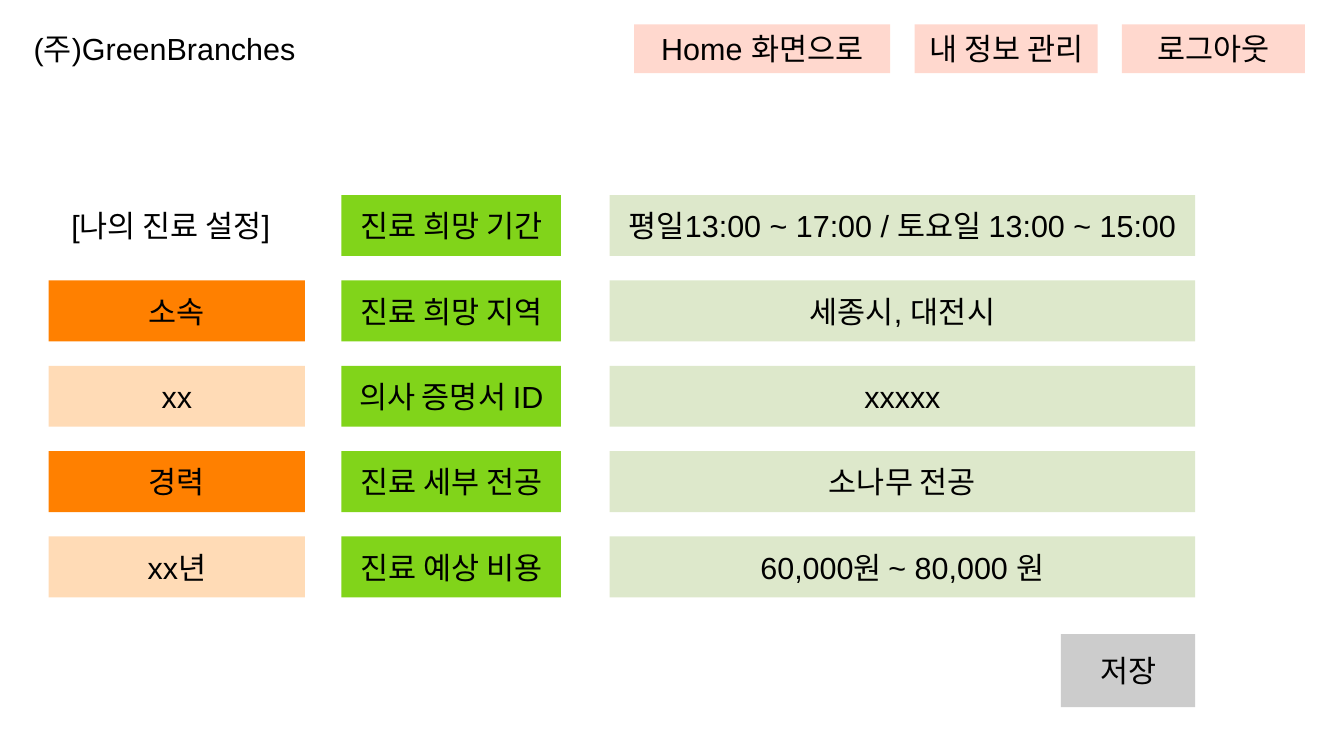
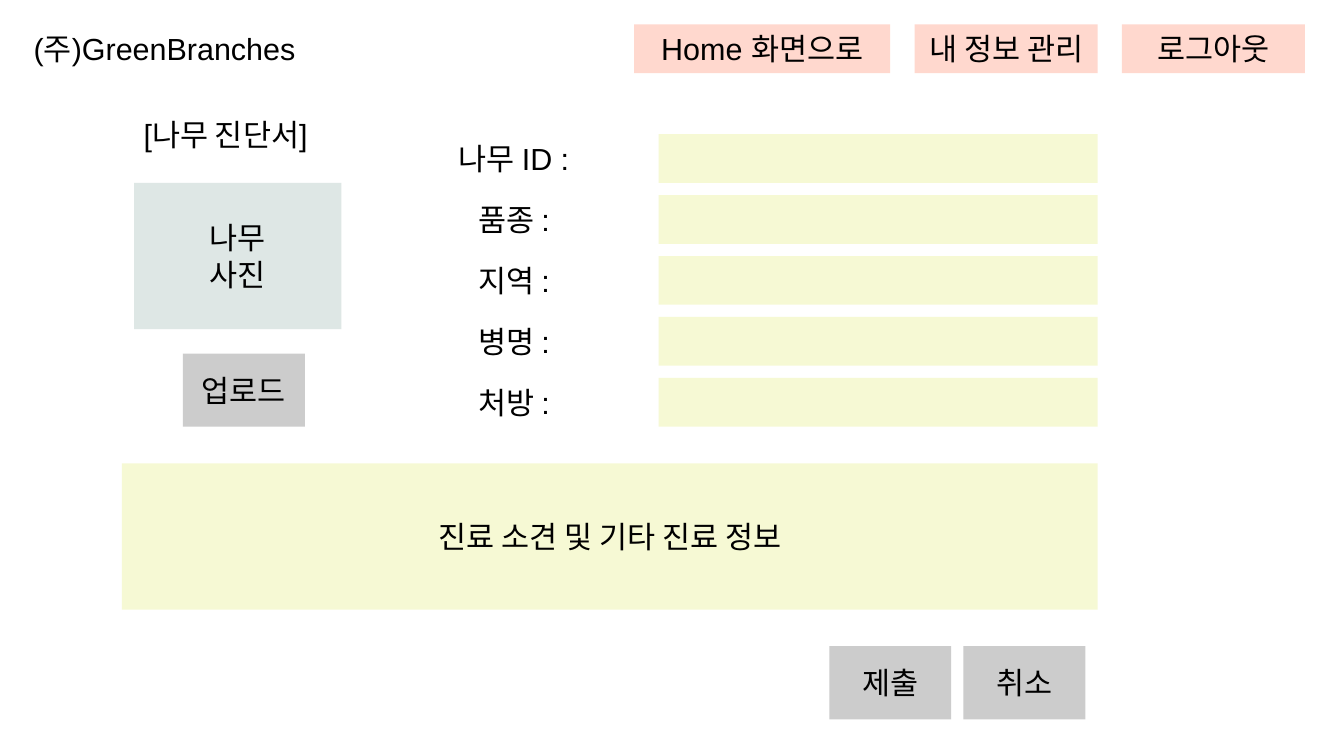
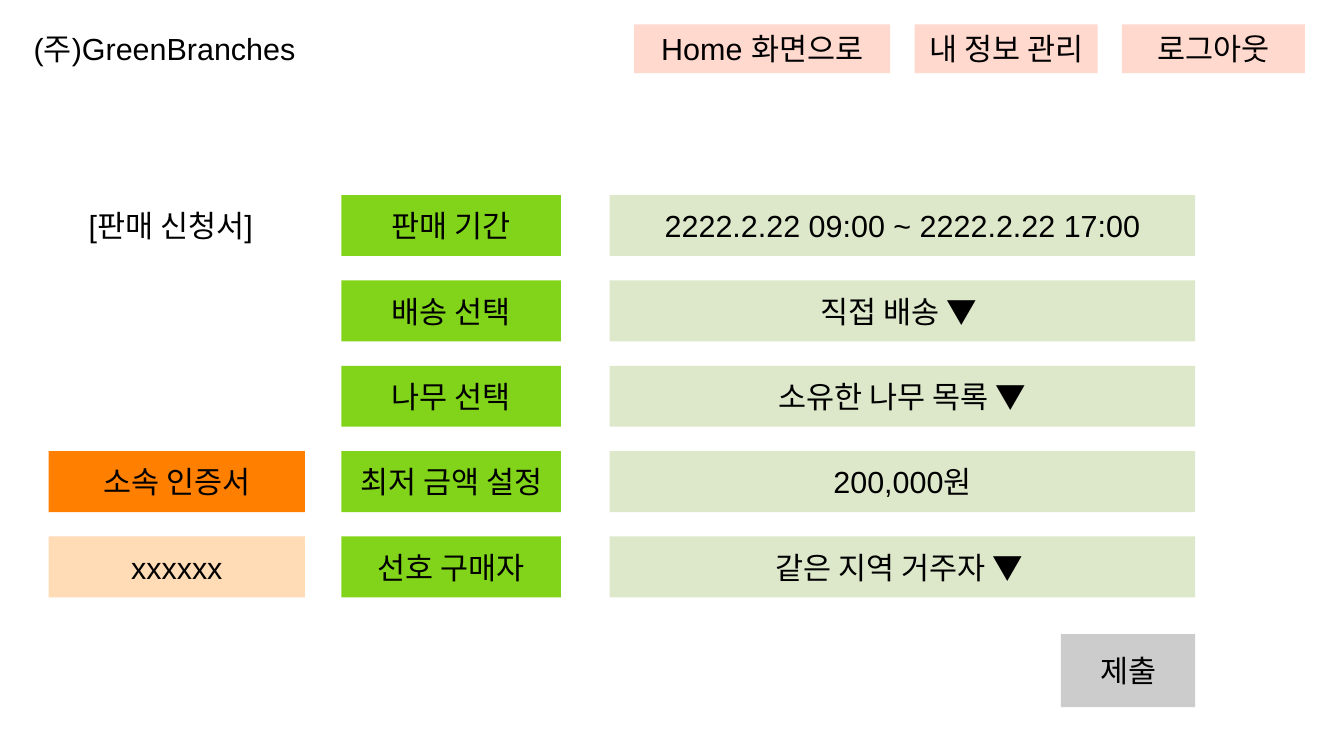
from pptx import Presentation
from pptx.dml.color import RGBColor
from pptx.enum.shapes import MSO_SHAPE
from pptx.enum.text import MSO_ANCHOR, PP_ALIGN
from pptx.util import Pt

RECTANGLE = MSO_SHAPE.RECTANGLE
MIDDLE = MSO_ANCHOR.MIDDLE
CENTER = PP_ALIGN.CENTER

COLORS = {
    "text": "000000", "plain": "FFFFFF", "menu": "FFD8CE", "button": "CCCCCC",
    "label": "81D41A", "value": "DDE8CB", "side_label": "FF8000",
    "side_value": "FFDBB6", "photo": "DEE7E5", "field": "F6F9D4",
}
BODY_FONT, MARK_FONT = "Arial", "Roboto"
DROPDOWN_MARK = "▼"
FRAME_FORMAT = {
    "margin_left": Pt(7.2), "margin_right": Pt(7.2), "margin_top": Pt(3.6),
    "margin_bottom": Pt(3.6), "vertical_anchor": MIDDLE, "word_wrap": False,
}
BUTTON_HEIGHT = 43.2
ROW_HEIGHT, ROW_PITCH = 36, 50.4
HEADER_BOX = (21.6, 7.2, 748.8, 43.2)
SETTINGS_BOX = (28.8, 115.2, 676.8, 302.4)


def color(name):
    """Return the RGB colour of a named role."""
    return RGBColor.from_string(COLORS[name])


def apply_format(target, values):
    """Set each attribute in values on the target."""
    for name, value in values.items():
        setattr(target, name, value)


def add_run(paragraph, text, font_name):
    """Add a run of body-size text."""
    run = paragraph.add_run()
    run.text = text
    apply_format(run.font, {"name": font_name, "size": Pt(18)})
    run.font.color.rgb = color("text")


def add_block(slide, box, role, text=""):
    """Draw a flat rectangle with centred text, one paragraph a line."""
    shape = slide.shapes.add_shape(RECTANGLE, *(Pt(length) for length in box))
    shape.shadow.inherit = False
    shape.fill.solid()
    shape.fill.fore_color.rgb = color(role)
    shape.line.fill.background()
    frame = shape.text_frame
    apply_format(frame, FRAME_FORMAT)
    for index, line in enumerate(text.split("\n")):
        paragraph = frame.add_paragraph() if index else frame.paragraphs[0]
        paragraph.alignment = CENTER
        words, mark, rest = line.partition(DROPDOWN_MARK)
        if words:
            add_run(paragraph, words, BODY_FONT)
        if mark:
            add_run(paragraph, mark + rest, MARK_FONT)


def add_header(slide, box):
    """Place the company name at the left and the menu at the right."""
    left, top, width, height = box
    add_block(slide, (left, top, 151.2, height), "plain", "(주)GreenBranches")
    right = left + width
    for text, item_width in (("로그아웃", 108), ("내 정보 관리", 108), ("Home 화면으로", 151.2)):
        add_block(slide, (right - item_width, top + 7.2, item_width, 28.8), "menu", text)
        right -= item_width + 14.4


def add_settings(slide, box, heading, side_items, rows, button):
    """Place a heading, side items by row, label and value rows and a button."""
    left, top, width, height = box
    add_block(slide, (left + 7.2, top, 129.6, ROW_HEIGHT), "plain", heading)
    for row, (role, text) in side_items.items():
        add_block(slide, (left, top + row * ROW_PITCH, 151.2, ROW_HEIGHT), role, text)
    for row, (label, value) in enumerate(rows):
        row_top = top + row * ROW_PITCH
        add_block(slide, (left + 172.8, row_top, 129.6, ROW_HEIGHT), "label", label)
        add_block(slide, (left + 331.2, row_top, 345.6, ROW_HEIGHT), "value", value)
    button_box = (left + width - 79.2, top + height - BUTTON_HEIGHT, 79.2, BUTTON_HEIGHT)
    add_block(slide, button_box, "button", button)


def add_photo_panel(slide, box):
    """Place the certificate heading, the photo area and the upload button."""
    left, top, width, height = box
    add_block(slide, (left, top, width, 28.8), "plain", "[나무 진단서]")
    add_block(slide, (left + 43.2, top + 43.2, 122.4, 86.4), "photo", "나무\n사진")
    upload_box = (left + 72, top + height - BUTTON_HEIGHT, 72, BUTTON_HEIGHT)
    add_block(slide, upload_box, "button", "업로드")


def add_fields(slide, box, labels):
    """Place evenly spaced labels with an empty field beside each."""
    left, top, width, height = box
    label_height = 43.2
    pitch = (height - label_height) / (len(labels) - 1)
    for row, label in enumerate(labels):
        row_top = top + row * pitch
        add_block(slide, (left, row_top, 151.2, label_height), "plain", f"{label} : ")
        add_block(slide, (left + width - 259.2, row_top + 7.2, 259.2, 28.8), "field")


def add_buttons(slide, box, texts):
    """Share the box out among equal buttons."""
    left, top, width, height = box
    gap = 7.2
    button_width = (width - gap * (len(texts) - 1)) / len(texts)
    for index, text in enumerate(texts):
        button_left = left + index * (button_width + gap)
        add_block(slide, (button_left, top, button_width, height), "button", text)


def add_page(presentation):
    """Add a blank slide with the shared header."""
    slide = presentation.slides.add_slide(presentation.slide_layouts[6])
    add_header(slide, HEADER_BOX)
    return slide


def add_diagnosis(slide):
    """Place the regions of the tree diagnosis form."""
    add_photo_panel(slide, (36, 64.8, 194.4, 187.2))
    add_fields(slide, (230.4, 72, 417.6, 187.2), ("나무 ID", "품종", "지역", "병명", "처방"))
    add_block(slide, (72, 273.6, 576, 86.4), "field", "진료 소견 및 기타 진료 정보")
    add_buttons(slide, (489.6, 381.6, 151.2, BUTTON_HEIGHT), ("제출", "취소"))


def main():
    """Build and save the presentation."""
    presentation = Presentation()
    apply_format(presentation, {"slide_width": Pt(793.44), "slide_height": Pt(446.4)})
    add_settings(
        add_page(presentation), SETTINGS_BOX, "[나의 진료 설정]",
        {1: ("side_label", "소속"), 2: ("side_value", "xx"),
         3: ("side_label", "경력"), 4: ("side_value", "xx년")},
        (("진료 희망 기간", "평일13:00 ~ 17:00 / 토요일 13:00 ~ 15:00"),
         ("진료 희망 지역", "세종시, 대전시"),
         ("의사 증명서 ID", "xxxxx"),
         ("진료 세부 전공", "소나무 전공"),
         ("진료 예상 비용", "60,000원 ~ 80,000 원")),
        "저장",
    )
    add_diagnosis(add_page(presentation))
    add_settings(
        add_page(presentation), SETTINGS_BOX, "[판매 신청서]",
        {3: ("side_label", "소속 인증서"), 4: ("side_value", "xxxxxx")},
        (("판매 기간", "2222.2.22 09:00 ~ 2222.2.22 17:00"),
         ("배송 선택", "직접 배송 ▼ "),
         ("나무 선택", "소유한 나무 목록 ▼"),
         ("최저 금액 설정", "200,000원"),
         ("선호 구매자", "같은 지역 거주자 ▼ ")),
        "제출",
    )
    presentation.save("out.pptx")


main()
